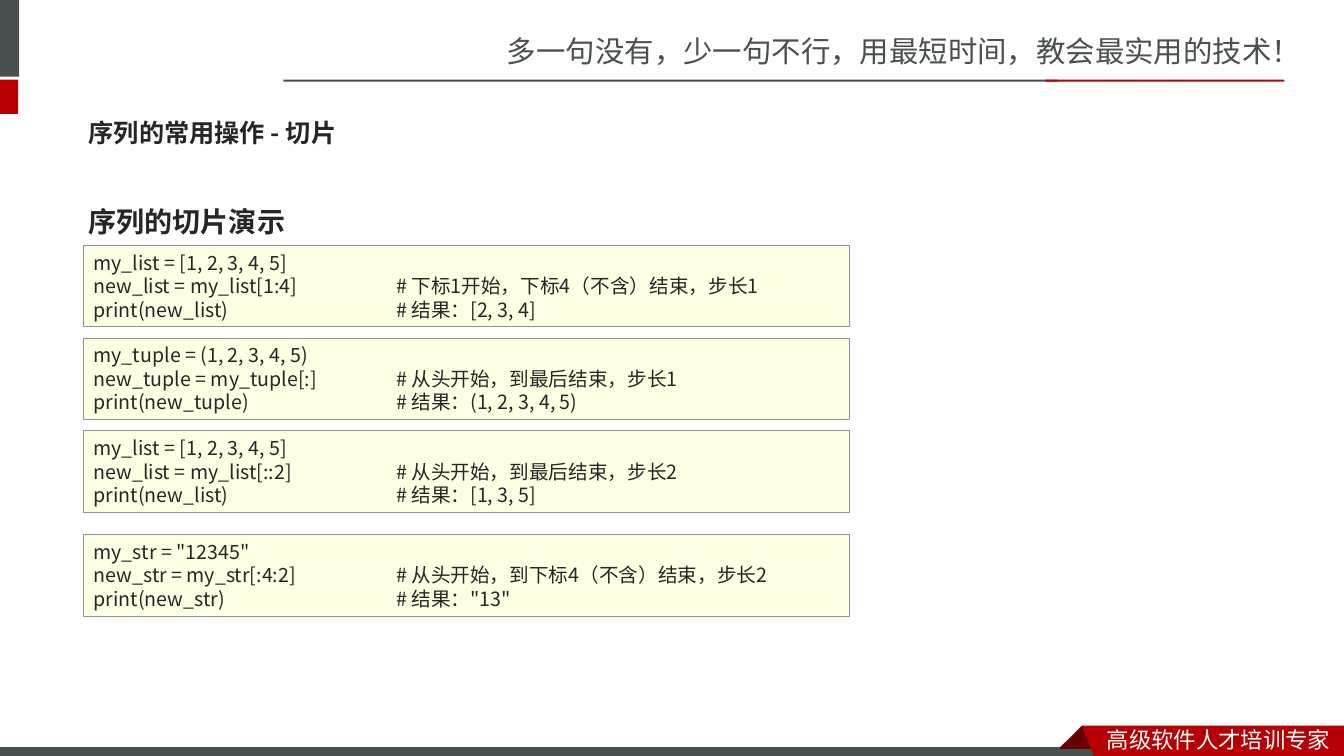
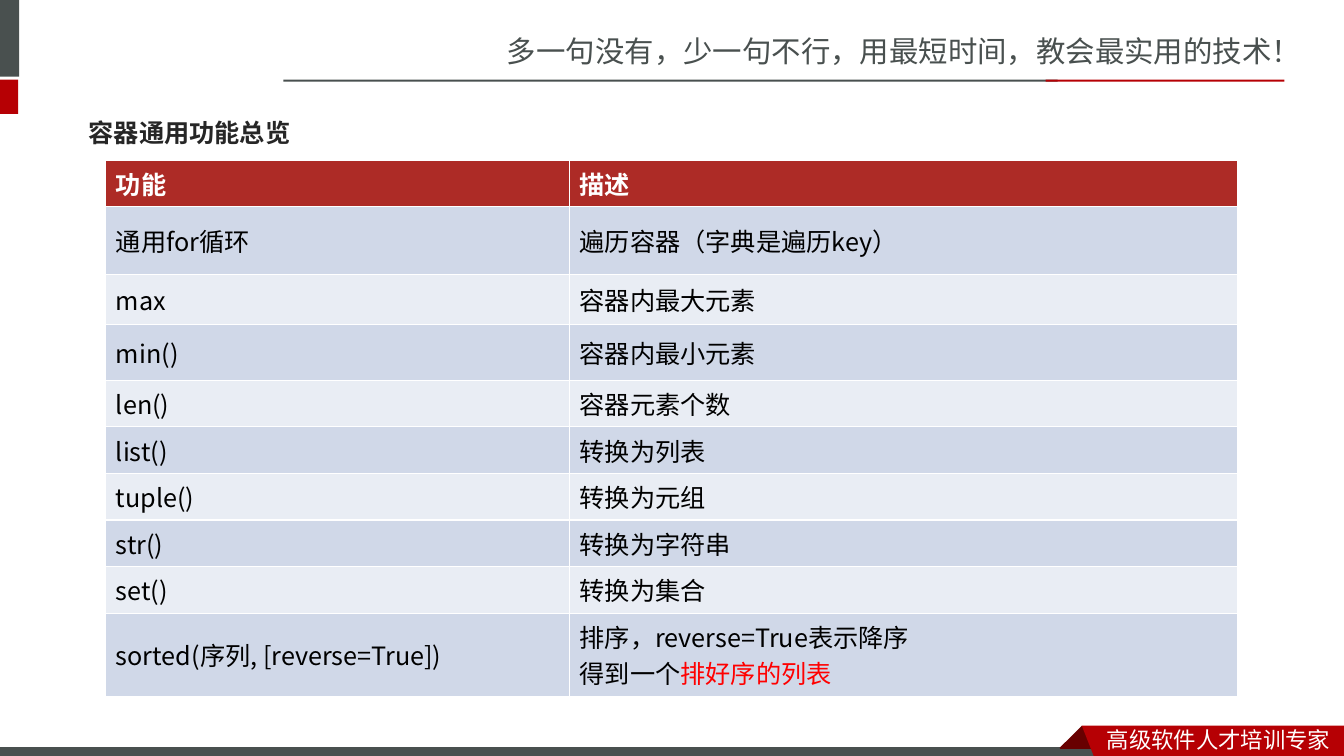
from pptx import Presentation, util as u
from pptx.dml.color import RGBColor
from pptx.enum import shapes, text
from pptx.oxml.ns import qn
from lxml import etree


class Theme:
    sans, code = "Noto Sans CJK SC", "Noto Sans CJK JP"
    gray, red, dark, white = "49504F", "B60004", "680000", "FFFFFF"
    ink, black, alert = "262626", "000000", "FF0000"
    cream, edge = "FFFFE4", "919191"
    head, bands = "AD2B26", ("E9EDF4", "D0D8E8")
    motto, foot, title, body, list, cell = 21, 16, 18, 20, 14, 18


# Content
MOTTO = "多一句没有，少一句不行，用最短时间，教会最实用的技术！"
FOOT = "高级软件人才培训专家"

SLICE = "序列的常用操作 - 切片"
DEMO = "序列的切片演示"
CODES = [  # top, lines
    (2.43, ["my_list = [1, 2, 3, 4, 5]",
            "new_list = my_list[1:4]\t# 下标1开始，下标4（不含）结束，步长1",
            "print(new_list)\t# 结果：[2, 3, 4]"]),
    (3.35, ["my_tuple = (1, 2, 3, 4, 5)",
            "new_tuple = my_tuple[:]\t# 从头开始，到最后结束，步长1",
            "print(new_tuple)\t# 结果：(1, 2, 3, 4, 5)"]),
    (4.27, ["my_list = [1, 2, 3, 4, 5]",
            "new_list = my_list[::2]\t# 从头开始，到最后结束，步长2",
            "print(new_list)\t# 结果：[1, 3, 5]"]),
    (5.3, ['my_str = "12345"',
           "new_str = my_str[:4:2]\t# 从头开始，到下标4（不含）结束，步长2",
           'print(new_str)\t# 结果："13"']),
]

TOOLS = "容器通用功能总览"
WIDTHS = (4.6, 6.62)
ROWS = [  # height, name, use; the part after | stands out
    (0.43, "功能", "描述"),
    (0.67, "通用for循环", "遍历容器（字典是遍历key）"),
    (0.5, "max", "容器内最大元素"),
    (0.55, "min()", "容器内最小元素"),
    (0.45, "len()", "容器元素个数"),
    (0.45, "list()", "转换为列表"),
    (0.45, "tuple()", "转换为元组"),
    (0.45, "str()", "转换为字符串"),
    (0.45, "set()", "转换为集合"),
    (0.8, "sorted(序列, [reverse=True])",
     "排序，reverse=True表示降序\n得到一个|排好序的列表"),
]

# Frame: left, top, width, height, fill, line
BARS = [
    (-0.06, 0, 0.25, 0.76, Theme.gray, None),
    (-0.06, 0.79, 0.24, 0.34, Theme.red, None),
    (2.81, 0.79, 7.68, 0.02, Theme.gray, None),
    (10.37, 0.79, 2.37, 0.02, Theme.red, None),
    (-0.01, 7.41, 11, 0.12, Theme.gray, Theme.white),
]
FOLDS = [
    (Theme.dark, [(10.73, 7.2), (10.95, 7.42), (10.94, 7.43),
                  (10.52, 7.43), (10.51, 7.42)]),
    (Theme.red, [(10.73, 7.2), (13.33, 7.2), (13.33, 7.54), (10.86, 7.53)]),
]
LABELS = [
    ((4.93, 0.28, 8.41, 0.47), MOTTO, Theme.motto, Theme.gray),
    ((10.88, 7.15, 2.45, 0.37), FOOT, Theme.foot, Theme.white),
]


# Helpers
def rgb(tone):
    return RGBColor.from_string(tone)


def inch(*sizes):
    return [u.Inches(size) for size in sizes]


def place(shape, *box):
    shape.left, shape.top, shape.width, shape.height = inch(*box)


def style(para, size, tone, bold=False, face=Theme.code):
    para.alignment = text.PP_ALIGN.LEFT
    font = para.font
    font.size, font.bold, font.name = u.Pt(size), bold, face
    font.color.rgb = rgb(tone)
    props = para._p.pPr.find(qn("a:defRPr"))
    props.find(qn("a:latin")).addnext(
        etree.Element(qn("a:ea"), typeface=face))


def paint(shape, fill, line=None, width=0.75):
    shape.shadow.inherit = False
    shape.fill.solid()
    shape.fill.fore_color.rgb = rgb(fill)
    if line:
        shape.line.color.rgb = rgb(line)
        shape.line.width = u.Pt(width)
    else:
        shape.line.fill.background()
    return shape


def rect(slide, box, fill, line=None, width=0.75):
    shape = slide.shapes.add_shape(shapes.MSO_SHAPE.RECTANGLE, *inch(*box))
    return paint(shape, fill, line, width)


def fold(slide, fill, points):
    first, *rest = [inch(*point) for point in points]
    pen = slide.shapes.build_freeform(*first)
    pen.add_line_segments(rest, close=True)
    return paint(pen.convert_to_shape(), fill)


def label(slide, box, words, size, tone):
    shape = slide.shapes.add_textbox(*inch(*box))
    shape.text_frame.word_wrap = True
    shape.text_frame.text = words
    style(shape.text_frame.paragraphs[0], size, tone, face=Theme.sans)
    return shape


def frame(deck, slide):
    """Build the shared frame and move it to the slide master."""
    parts = [rect(slide, bar[:4], *bar[4:]) for bar in BARS]
    parts += [fold(slide, *item) for item in FOLDS]
    parts += [label(slide, *item) for item in LABELS]
    for part in parts:
        deck.slide_master.shapes.element.append(part.element)


def page(deck, layout, title):
    slide = deck.slides.add_slide(deck.slide_layouts[layout])
    head = slide.shapes.title
    place(head, 0.78, 1.03, 11.7, 0.57)
    head.text_frame.text = title
    head.text_frame.auto_size = text.MSO_AUTO_SIZE.NONE
    head.text_frame.vertical_anchor = text.MSO_ANCHOR.MIDDLE
    style(head.text_frame.paragraphs[0], Theme.title, Theme.ink, True)
    return slide


# Slides
def slices(deck):
    slide = page(deck, 1, SLICE)
    body = slide.placeholders[1]
    place(body, 0.78, 1.81, 11.7, 4.61)
    body.text_frame.text = DEMO
    body.text_frame.auto_size = text.MSO_AUTO_SIZE.NONE
    para = body.text_frame.paragraphs[0]
    para.line_spacing, para.space_before = 1.5, u.Pt(0)
    props = para._p.get_or_add_pPr()
    props.set("marL", "0")
    props.set("indent", "0")
    etree.SubElement(props, qn("a:buNone"))
    style(para, Theme.body, Theme.ink, True)

    for top, lines in CODES:
        box = rect(slide, (0.83, top, 7.59, 0.81), Theme.cream, Theme.edge, 0.25)
        box.text_frame.word_wrap = True
        box.text_frame.text = "\n".join(lines)
        for para in box.text_frame.paragraphs:
            para.line_spacing = u.Pt(16.8)
            tabs = etree.SubElement(para._p.get_or_add_pPr(), qn("a:tabLst"))
            etree.SubElement(tabs, qn("a:tab"), pos=str(u.Inches(3)), algn="l")
            style(para, Theme.list, Theme.ink)
    return slide


def tools(deck):
    slide = page(deck, 5, TOOLS)
    size = sum(WIDTHS), sum(row[0] for row in ROWS)
    table = slide.shapes.add_table(
        len(ROWS), len(WIDTHS), *inch(1.05, 1.59, *size)).table
    for col, width in zip(table.columns, WIDTHS):
        col.width = u.Inches(width)
    for num, (height, *words) in enumerate(ROWS):
        table.rows[num].height = u.Inches(height)
        top = num == 0
        for col, word in enumerate(words):
            cell = table.cell(num, col)
            cell.vertical_anchor = text.MSO_ANCHOR.MIDDLE
            cell.fill.solid()
            cell.fill.fore_color.rgb = rgb(
                Theme.head if top else Theme.bands[num % 2])
            cell.text_frame.text = word.replace("|", "")
            for para, line in zip(cell.text_frame.paragraphs, word.split("\n")):
                style(para, Theme.cell, Theme.white if top else Theme.black, top)
                plain, mark, loud = line.partition("|")
                if mark:
                    para.runs[0].text = plain
                    run = para.add_run()
                    run.text = loud
                    run.font.color.rgb = rgb(Theme.alert)


def main():
    deck = Presentation()
    deck.slide_width, deck.slide_height = inch(13.33, 7.5)
    first = slices(deck)
    frame(deck, first)
    tools(deck)
    deck.save("out.pptx")


if __name__ == "__main__":
    main()
